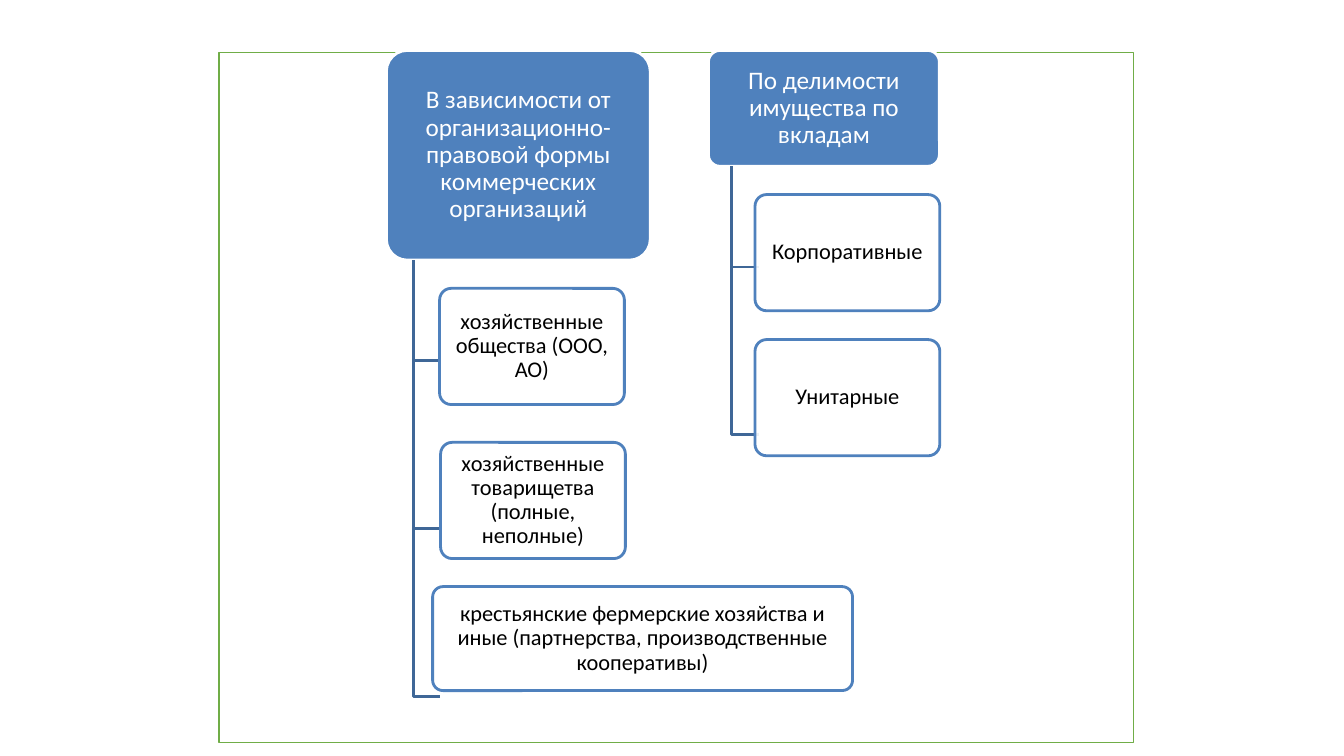
"""Build a slide with two hierarchies classifying commercial organisations."""
import pptx
import pptx.dml.color
import pptx.enum.shapes
import pptx.enum.text
import pptx.oxml
import pptx.oxml.ns
import pptx.util

Pt = pptx.util.Pt
SHAPES = pptx.enum.shapes.MSO_SHAPE

SLIDE_SIZE = (960, 540)
FRAME = (156.5, 37.5, 653, 493)
BRANCHES = [
    {
        "head": ("В зависимости от организационно-правовой формы коммерческих организаций",
                 (276, 36, 188.5, 149.8)),
        "trunk": 295.2, "arm": 314,
        "kinds": [
            ("хозяйственные общества (ООО, АО)", (314, 206, 132, 83)),
            ("хозяйственные товарищетва (полные, неполные)", (314.7, 316, 132, 83)),
            ("крестьянские фермерские хозяйства и иные (партнерства, производственные кооперативы)",
             (309, 419, 300, 74.3)),
        ],
    },
    {
        "head": ("По делимости имущества по вкладам", (506, 36, 165, 82.8)),
        "trunk": 522.7, "arm": 542,
        "kinds": [
            ("Корпоративные", (539.3, 139, 132, 83)),
            ("Унитарные", (539.3, 242.6, 132, 83)),
        ],
    },
]
FIRST_ARM, ARM_STEP = 72, 119.8

HEAD = {"fill": "4F81BD", "line": "FFFFFF", "ink": "FFFFFF", "size": 18,
        "side": 2.8, "top": 1.9, "opacity": 100}
KIND = {"fill": "FFFFFF", "line": "4F81BD", "ink": "000000", "size": 16,
        "side": 2.1, "top": 1.4, "opacity": 90}


def colour(target, value):
    target.rgb = pptx.dml.color.RGBColor.from_string(value)


def apply(target, values):
    for key, value in values.items():
        setattr(target, key, value)


def outline(shape, value, width):
    shape.shadow.inherit = False
    colour(shape.line.color, value)
    shape.line.width = Pt(width)


def box(slide, preset, place, fill, line, width):
    shape = slide.shapes.add_shape(preset, *map(Pt, place))
    shape.fill.solid()
    colour(shape.fill.fore_color, fill)
    outline(shape, line, width)
    return shape


def card(slide, wording, place, style):
    shape = box(slide, SHAPES.ROUNDED_RECTANGLE, place, style["fill"], style["line"], 2)
    shape.adjustments[0] = 0.1
    if style["opacity"] < 100:
        tint = shape.fill._xPr.find(".//" + pptx.oxml.ns.qn("a:srgbClr"))
        alpha = pptx.oxml.parse_xml(f'<a:alpha {pptx.oxml.ns.nsdecls("a")} val="{style["opacity"] * 1000}"/>')
        tint.append(alpha)
    apply(shape.text_frame, {
        "word_wrap": True,
        "vertical_anchor": pptx.enum.text.MSO_ANCHOR.MIDDLE,
        "margin_left": Pt(style["side"]), "margin_right": Pt(style["side"]),
        "margin_top": Pt(style["top"]), "margin_bottom": Pt(style["top"]),
    })
    paragraph = shape.text_frame.paragraphs[0]
    apply(paragraph, {"alignment": pptx.enum.text.PP_ALIGN.CENTER, "line_spacing": 0.9})
    run = paragraph.add_run()
    run.text = wording
    apply(run.font, {"name": "Calibri", "size": Pt(style["size"])})
    colour(run.font.color, style["ink"])


def elbow(slide, trunk, top, arm, bottom):
    builder = slide.shapes.build_freeform(Pt(trunk), Pt(top))
    corners = [(Pt(trunk), Pt(bottom)), (Pt(arm), Pt(bottom))]
    builder.add_line_segments(corners, close=False)
    shape = builder.convert_to_shape()
    shape.fill.background()
    outline(shape, "3F6797", 2)


def main():
    deck = pptx.Presentation()
    apply(deck, dict(zip(("slide_width", "slide_height"), map(Pt, SLIDE_SIZE))))
    slide = deck.slides.add_slide(deck.slide_layouts[6])
    box(slide, SHAPES.RECTANGLE, FRAME, "FFFFFF", "70AD47", 1)
    for branch in BRANCHES:
        wording, place = branch["head"]
        card(slide, wording, place, HEAD)
        foot = place[1] + place[3]
        for order, (kind, kind_place) in enumerate(branch["kinds"]):
            elbow(slide, branch["trunk"], foot, branch["arm"],
                  foot + FIRST_ARM + order * ARM_STEP)
            card(slide, kind, kind_place, KIND)
    deck.save("out.pptx")


if __name__ == "__main__":
    main()
